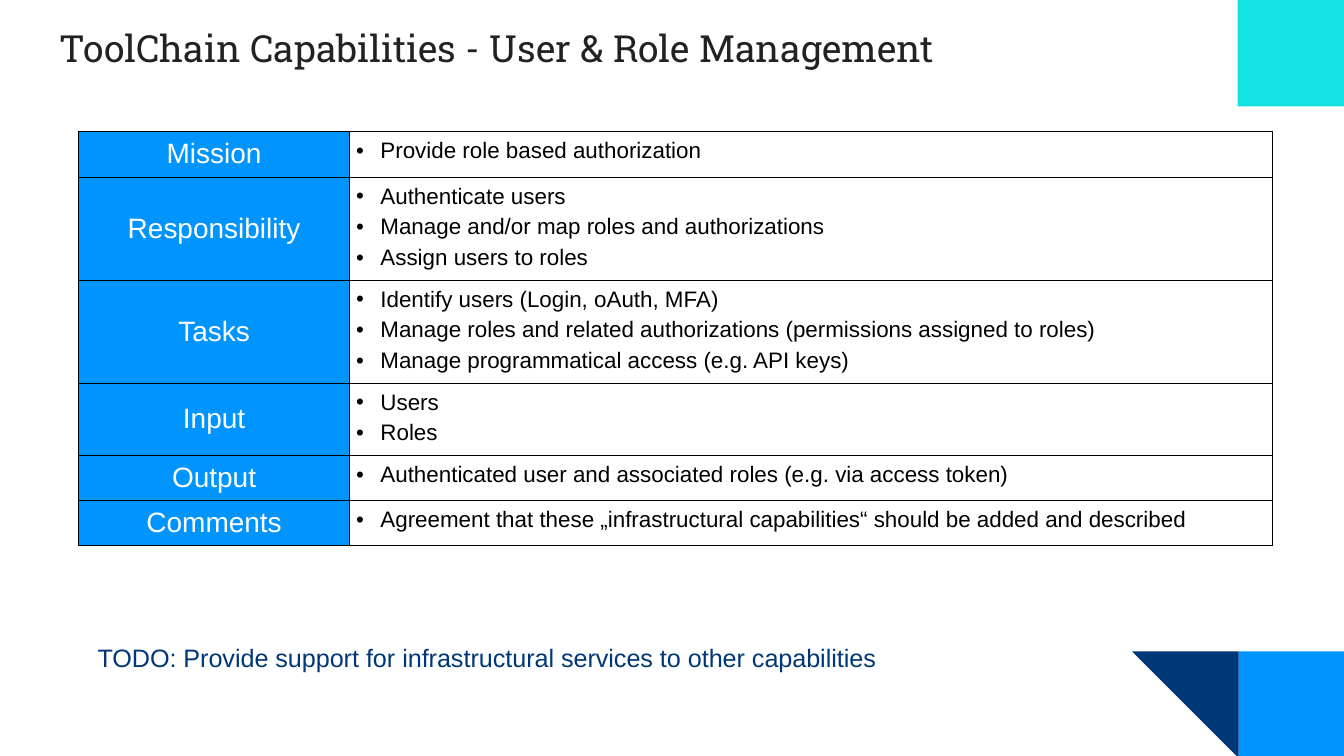
from lxml import etree
from pptx import Presentation
from pptx import util as u
from pptx.dml.color import RGBColor
from pptx.enum import shapes, text
from pptx.oxml.ns import qn

COLORS = {
    "sky": "0094FF", "navy": "003778", "cyan": "12E2E2",
    "title": "222222", "black": "000000", "white": "FFFFFF",
}
FONTS = {
    "title": {"name": "Roboto Slab", "size": u.Pt(20), "bold": False},
    "label": {"name": "Arial", "size": u.Pt(15), "bold": False},
    "item": {"name": "Arial", "size": u.Pt(12), "bold": False},
    "todo": {"name": "Arial", "size": u.Pt(13.5), "bold": False},
}
CAPABILITIES = [
    ("Mission", 24.5, ["Provide role based authorization"]),
    ("Responsibility", 55.2, [
        "Authenticate users",
        "Manage and/or map roles and authorizations",
        "Assign users to roles",
    ]),
    ("Tasks", 55.2, [
        "Identify users (Login, oAuth, MFA)",
        "Manage roles and related authorizations (permissions assigned to roles)",
        "Manage programmatical access (e.g. API keys)",
    ]),
    ("Input", 38.7, ["Users", "Roles"]),
    ("Output", 24.2, ["Authenticated user and associated roles (e.g. via access token)"]),
    ("Comments", 24.2, [
        "Agreement that these „infrastructural capabilities“ should be added and described",
    ]),
]


def color(name):
    """Return the named colour."""
    return RGBColor.from_string(COLORS[name])


def assign(target, values):
    """Set every attribute in a dict of values."""
    for name, value in values.items():
        setattr(target, name, value)


def style(para, font, shade):
    """Apply a font and a colour to a paragraph."""
    assign(para.font, FONTS[font])
    para.font.color.rgb = color(shade)


def margins(size):
    """Return four equal margins as attribute values."""
    return {f"margin_{side}": u.Pt(size) for side in ("left", "top", "right", "bottom")}


def place(shape, box):
    """Move and size a shape to a box in points."""
    assign(shape, dict(zip(("left", "top", "width", "height"), map(u.Pt, box))))


def add_block(page, kind, box, shade, rotation=0):
    """Draw one plain corner block."""
    block = page.shapes.add_shape(kind, *map(u.Pt, box))
    block.rotation = rotation
    block.shadow.inherit = False
    block.fill.solid()
    block.fill.fore_color.rgb = color(shade)
    block.line.fill.background()


def add_corners(page, box):
    """Decorate the right-hand corners of the given page area."""
    left, top, width, height = box
    side = 57
    right, bottom = left + width, top + height
    low = bottom - side + 1
    square = shapes.MSO_SHAPE.RECTANGLE
    add_block(page, square, (right - side + 0.5, low, side, side), "sky")
    add_block(page, shapes.MSO_SHAPE.RIGHT_TRIANGLE,
              (right - 2 * side + 0.5, low, side, side), "navy", 180)
    add_block(page, square, (right - side, top, side, side), "cyan")


def add_title(page, box):
    """Fill the title placeholder."""
    title = page.shapes.title
    place(title, box)
    frame = title.text_frame
    assign(frame, {**margins(7.2), "vertical_anchor": text.MSO_ANCHOR.TOP,
                   "auto_size": text.MSO_AUTO_SIZE.NONE, "word_wrap": True})
    para = frame.paragraphs[0]
    para.text = "ToolChain Capabilities - User & Role Management"
    para.alignment = text.PP_ALIGN.LEFT
    style(para, "title", "title")


def add_bullet(para):
    """Give a paragraph a hanging black bullet."""
    props = para._p.get_or_add_pPr()
    props.set("marL", str(u.Pt(13)))
    props.set("indent", str(u.Pt(-13)))
    shade = etree.SubElement(props, qn("a:buClr"))
    etree.SubElement(shade, qn("a:srgbClr"), val=COLORS["black"])
    etree.SubElement(props, qn("a:buFont"), typeface="Arial")
    etree.SubElement(props, qn("a:buChar"), char="•")


def add_borders(cell):
    """Put a thin black line on each side of a cell."""
    props = cell._tc.get_or_add_tcPr()
    for index, side in enumerate(("lnL", "lnR", "lnT", "lnB")):
        line = etree.Element(qn(f"a:{side}"), w=str(u.Pt(0.5)))
        fill = etree.SubElement(line, qn("a:solidFill"))
        etree.SubElement(fill, qn("a:srgbClr"), val=COLORS["black"])
        props.insert(index, line)


def fill_label(cell, label):
    """Write a row heading on blue."""
    assign(cell, {**margins(0), "vertical_anchor": text.MSO_ANCHOR.MIDDLE})
    cell.fill.solid()
    cell.fill.fore_color.rgb = color("sky")
    para = cell.text_frame.paragraphs[0]
    para.text = label
    para.alignment = text.PP_ALIGN.CENTER
    style(para, "label", "white")


def fill_items(cell, items):
    """Write a bulleted list in a cell."""
    assign(cell, {**margins(3.6), "vertical_anchor": text.MSO_ANCHOR.TOP})
    cell.fill.background()
    frame = cell.text_frame
    for index, item in enumerate(items):
        para = frame.add_paragraph() if index else frame.paragraphs[0]
        para.text = item
        add_bullet(para)
        para.space_before = u.Pt(3 if index else 0)
        style(para, "item", "black")


def add_capabilities(page, box):
    """Build the table of capabilities."""
    table = page.shapes.add_table(len(CAPABILITIES), 2, *map(u.Pt, box)).table
    assign(table, {"first_row": False, "horz_banding": False})
    label_width = 145
    table.columns[0].width = u.Pt(label_width)
    table.columns[1].width = u.Pt(box[2] - label_width)
    for row, (label, height, items) in zip(table.rows, CAPABILITIES):
        row.height = u.Pt(height)
        fill_label(row.cells[0], label)
        fill_items(row.cells[1], items)
        for cell in row.cells:
            add_borders(cell)


def add_todo(page, box):
    """Write the open point below the table."""
    frame = page.shapes.add_textbox(*map(u.Pt, box)).text_frame
    assign(frame, {**margins(2.9), "word_wrap": False,
                   "auto_size": text.MSO_AUTO_SIZE.SHAPE_TO_FIT_TEXT})
    para = frame.paragraphs[0]
    para.text = "TODO: Provide support for infrastructural services to other capabilities"
    style(para, "todo", "navy")


def main():
    """Build and save the deck."""
    deck = Presentation()
    assign(deck, {"slide_width": u.Pt(720), "slide_height": u.Pt(405)})
    page = deck.slides.add_slide(deck.slide_layouts[5])
    add_corners(page, (0, 0, 720, 405))
    add_title(page, (24.8, 6.5, 671, 47.5))
    add_capabilities(page, (42.2, 70.3, 639.5, 222))
    add_todo(page, (49.4, 341.3, 429, 21.6))
    deck.save("out.pptx")


if __name__ == "__main__":
    main()
